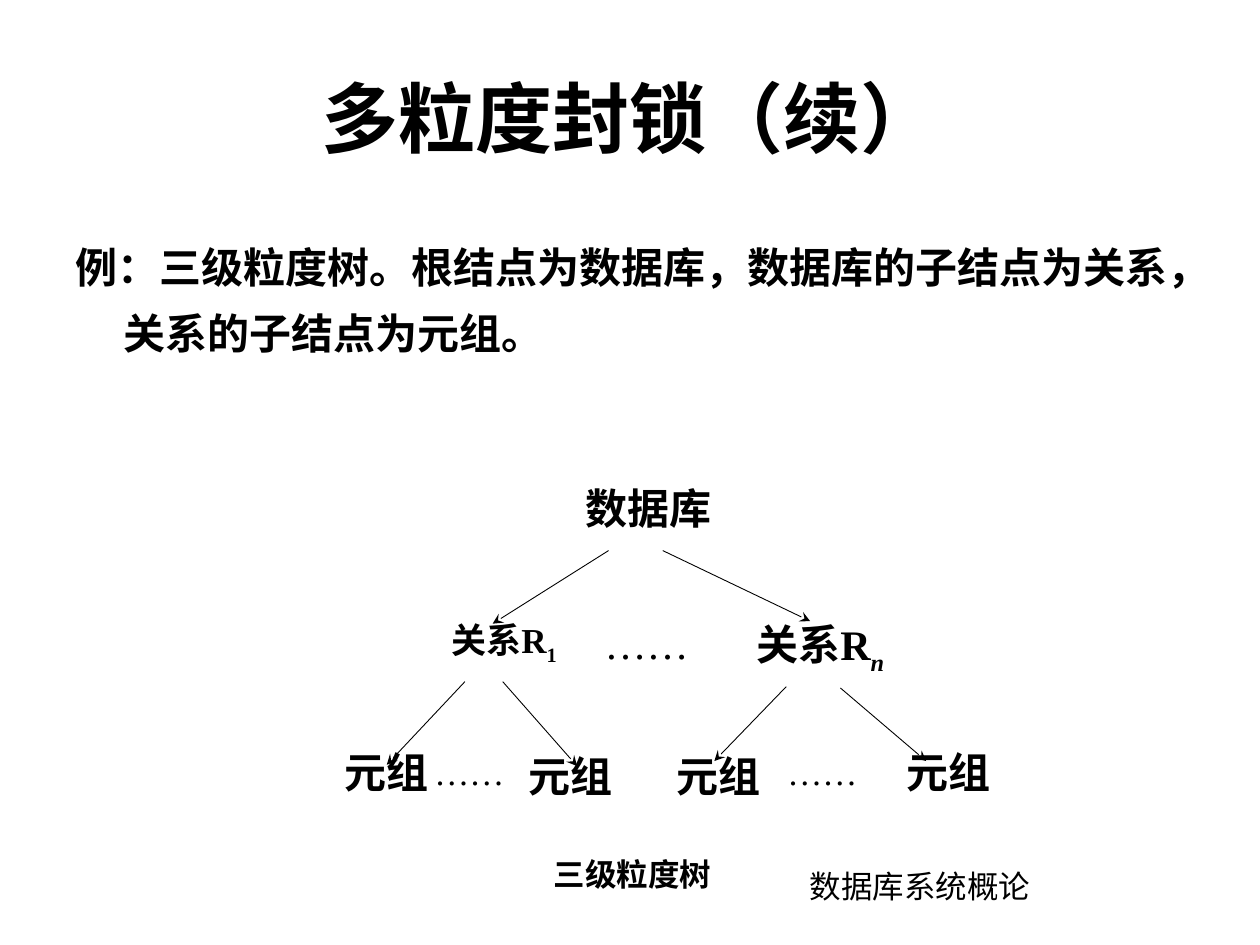
from lxml import etree
from pptx import Presentation
from pptx.dml.color import RGBColor
from pptx.enum.shapes import MSO_CONNECTOR
from pptx.enum.text import MSO_ANCHOR, MSO_AUTO_SIZE, PP_ALIGN
from pptx.oxml.ns import qn
from pptx.util import Pt

PX = 9144
BLACK = RGBColor(0, 0, 0)
SERIF = "Times New Roman"
STRAIGHT = MSO_CONNECTOR.STRAIGHT
MIDDLE = MSO_ANCHOR.MIDDLE
FIXED = MSO_AUTO_SIZE.NONE
LEFT, CENTER = PP_ALIGN.LEFT, PP_ALIGN.CENTER

TITLE_BOX = (50, 30, 900, 125)
BODY_BOX = (50, 175, 900, 495)
TREE_BOX = (250, 381, 575, 278)
CAPTION_BOX = (429, 674, 146, 40)
FOOTER_BOX = (633, 683, 317, 52)

TREE_ARROWS = [
    (233, 56, 141, 114), (276, 56, 393, 112),
    (119, 160, 57, 226), (149, 160, 208, 227),
    (374, 164, 317, 223), (417, 165, 485, 223),
]
TUPLE_BOXES = [(0, 209, 114, 59), (146, 212, 114, 59),
               (263, 212, 114, 59), (431, 209, 144, 66)]
RELATIONS = [((66, 105, 168, 91), "1", 20, False),
             ((328, 105, 146, 57), "n", 24, True)]
DOTS = [((220, 107, 146, 48), 24), ((85, 212, 146, 48), 20),
        ((365, 212, 146, 48), 20)]


def place(shape, box):
    """Move a shape to a box given in px."""
    shape.left, shape.top, shape.width, shape.height = (n * PX for n in box)


def style(span, size, name=SERIF, bold=True):
    """Set the font of one run."""
    font = span.font
    font.size, font.name, font.bold = Pt(size), name, bold
    font.color.rgb = BLACK


def add_label(page, box, text, size, name=SERIF, bold=True, align=CENTER, spacing=None):
    """Add a one-paragraph text box and return its paragraph."""
    frame = page.shapes.add_textbox(*(n * PX for n in box)).text_frame
    frame.word_wrap = True
    frame.text = text
    para = frame.paragraphs[0]
    para.alignment, para.line_spacing = align, spacing
    style(para.runs[0], size, name, bold)
    return para


def add_arrow(page, start_x, start_y, end_x, end_y):
    """Draw a thin line with a stealth head at its end."""
    arrow = page.shapes.add_connector(
        STRAIGHT, start_x * PX, start_y * PX, end_x * PX, end_y * PX)
    arrow.line.color.rgb = BLACK
    arrow.line.width = Pt(0.5)
    etree.SubElement(arrow.line._get_or_add_ln(), qn("a:tailEnd"), type="stealth")
    etree.SubElement(arrow._element.spPr, qn("a:effectLst"))


def fill_title(page, box):
    """Place the slide title."""
    title = page.shapes.title
    place(title, box)
    frame = title.text_frame
    frame.text = "多粒度封锁（续）"
    frame.vertical_anchor = MIDDLE
    frame.paragraphs[0].alignment = CENTER
    style(frame.paragraphs[0].runs[0], 44, "Arial")


def fill_body(page, box):
    """Place the example with a hanging indent and no bullet."""
    body = page.placeholders[1]
    place(body, box)
    frame = body.text_frame
    frame.text = "例：三级粒度树。根结点为数据库，数据库的子结点为关系，关系的子结点为元组。"
    frame.auto_size = FIXED
    para = frame.paragraphs[0]
    para.line_spacing, para.space_before = 1.3, Pt(5)
    properties = para._p.get_or_add_pPr()
    properties.set("marL", str(38 * PX))
    properties.set("indent", str(-38 * PX))
    etree.SubElement(properties, qn("a:buNone"))
    style(para.runs[0], 24)


def add_tree(page, box):
    """Draw the three-level granularity tree inside a box."""
    left, top = box[:2]

    def inside(part):
        """Shift a part from tree to page coordinates."""
        return (left + part[0], top + part[1], *part[2:])

    for start_x, start_y, end_x, end_y in TREE_ARROWS:
        add_arrow(page, left + start_x, top + start_y, left + end_x, top + end_y)
    add_label(page, inside((193, 0, 144, 64)), "数据库", 24, spacing=0.96)
    for part, index, size, italic in RELATIONS:
        para = add_label(page, inside(part), "关系R", size, spacing=0.96)
        span = para.add_run()
        span.text = index
        style(span, size)
        span.font.italic = italic
        span._r.get_or_add_rPr().set("baseline", "-25000")
    for part in TUPLE_BOXES:
        add_label(page, inside(part), "元组", 24, spacing=0.96)
    for part, size in DOTS:
        add_label(page, inside(part), "……", size, bold=False, align=LEFT, spacing=0.96)


def main():
    """Build and save the slide."""
    deck = Presentation()
    deck.slide_width, deck.slide_height = 1000 * PX, 750 * PX
    page = deck.slides.add_slide(deck.slide_layouts[1])
    add_label(page, FOOTER_BOX, "数据库系统概论", 18, "Calibri", bold=False, align=LEFT)
    fill_title(page, TITLE_BOX)
    fill_body(page, BODY_BOX)
    add_tree(page, TREE_BOX)
    add_label(page, CAPTION_BOX, "三级粒度树", 18)
    deck.save("out.pptx")


if __name__ == "__main__":
    main()
